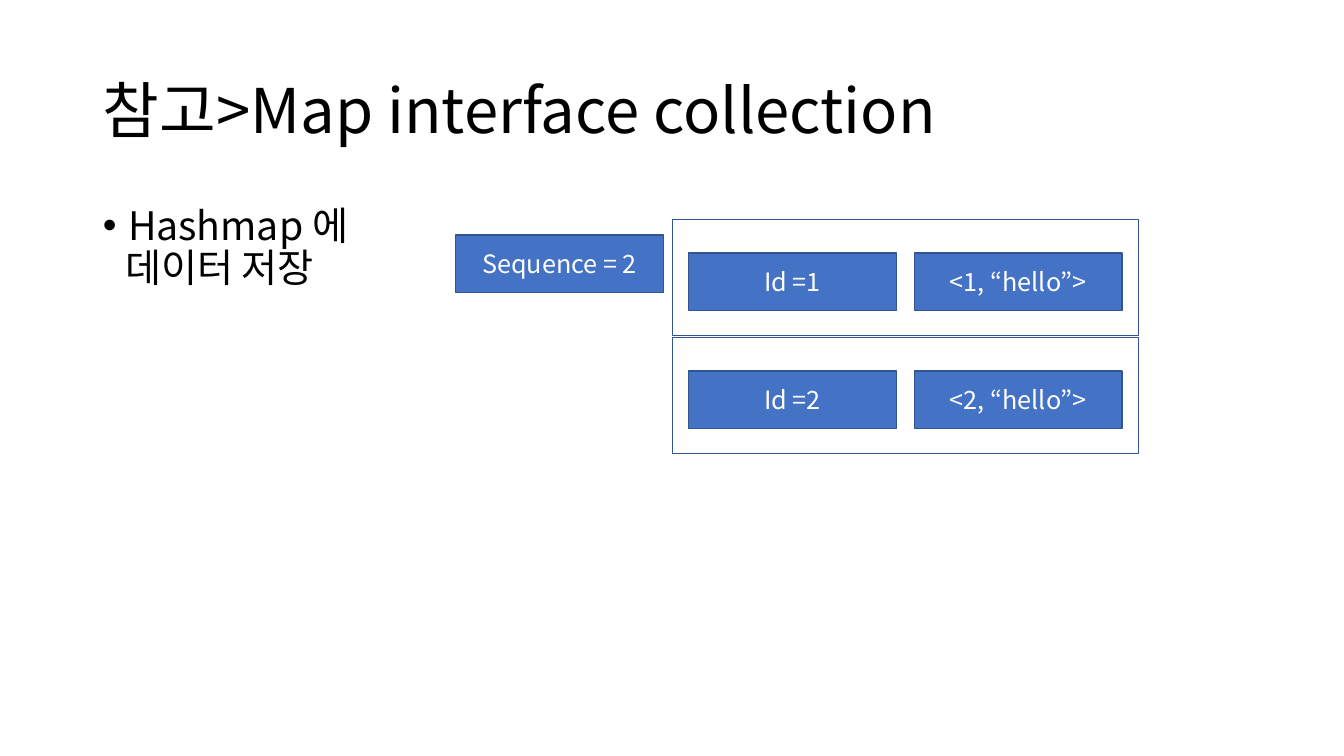
from dataclasses import dataclass

from pptx import Presentation
from pptx.dml.color import RGBColor
from pptx.enum.shapes import MSO_SHAPE as Shape
from pptx.enum.text import MSO_ANCHOR as Anchor, PP_ALIGN as Align
from pptx.oxml.ns import qn
from pptx.util import Inches, Pt
from lxml.etree import SubElement


@dataclass
class Theme:
    font: str = "Noto Sans CJK KR"
    title_size: int = 44
    list_size: int = 28
    box_size: int = 18
    text: str = "000000"
    box_text: str = "FFFFFF"
    box_fill: str = "4472C4"
    box_line: str = "325491"


theme = Theme()


def write_text(paragraph, text, size, color=theme.text, align=Align.LEFT, line_spacing=None):
    paragraph.alignment = align
    paragraph.space_before = Pt(0)
    paragraph.line_spacing = line_spacing
    run = paragraph.add_run()
    run.text = text
    run.font.size = Pt(size)
    run.font.name = theme.font
    run.font.color.rgb = RGBColor.from_string(color)
    SubElement(run.font._element, qn("a:ea"), typeface=theme.font)


def add_box(left, top, width, height, text=None):
    shape = slide.shapes.add_shape(
        Shape.RECTANGLE, Inches(left), Inches(top), Inches(width), Inches(height))
    shape.shadow.inherit = False
    shape.line.color.rgb = RGBColor.from_string(theme.box_line)
    shape.line.width = Pt(1)
    if text is None:
        shape.fill.background()
        return
    shape.fill.solid()
    shape.fill.fore_color.rgb = RGBColor.from_string(theme.box_fill)
    shape.text_frame.vertical_anchor = Anchor.MIDDLE
    write_text(shape.text_frame.paragraphs[0], text, theme.box_size,
               color=theme.box_text, align=Align.CENTER)


presentation = Presentation()
presentation.slide_width = Inches(13.33)
presentation.slide_height = Inches(7.5)
slide = presentation.slides.add_slide(presentation.slide_layouts[1])

title, body = slide.placeholders
for placeholder, top, height in ((title, 0.4, 1.45), (body, 2, 4.76)):
    placeholder.left, placeholder.top = Inches(0.92), Inches(top)
    placeholder.width, placeholder.height = Inches(11.5), Inches(height)

title.text_frame.vertical_anchor = Anchor.MIDDLE
write_text(title.text_frame.paragraphs[0], "참고>Map interface collection",
           theme.title_size, line_spacing=0.9)

body.text_frame.vertical_anchor = Anchor.TOP
list_items = (("Hashmap 에", 0.25, -0.25, "•"), ("데이터 저장", 0.22, 0, None))
for index, (text, margin, indent, bullet) in enumerate(list_items):
    paragraph = body.text_frame.add_paragraph() if index else body.text_frame.paragraphs[0]
    write_text(paragraph, text, theme.list_size, line_spacing=0.9)
    properties = paragraph._p.get_or_add_pPr()
    properties.set("marL", str(Inches(margin)))
    properties.set("indent", str(Inches(indent)))
    if bullet:
        SubElement(properties, qn("a:buChar"), char=bullet)
    else:
        SubElement(properties, qn("a:buNone"))

box_width, box_height = 2.06, 0.57
map_left, map_top, row_pitch = 6.67, 2.18, 1.17
entries = (("Id =1", "<1, “hello”>"), ("Id =2", "<2, “hello”>"))
add_box(4.52, 2.33, box_width, box_height, "Sequence = 2")
for row, entry in enumerate(entries):
    row_top = map_top + row * row_pitch
    add_box(map_left, row_top, 4.62, 1.15)
    for column, text in enumerate(entry):
        add_box(map_left + 0.16 + column * 2.24, row_top + 0.33, box_width, box_height, text)

presentation.save("out.pptx")
